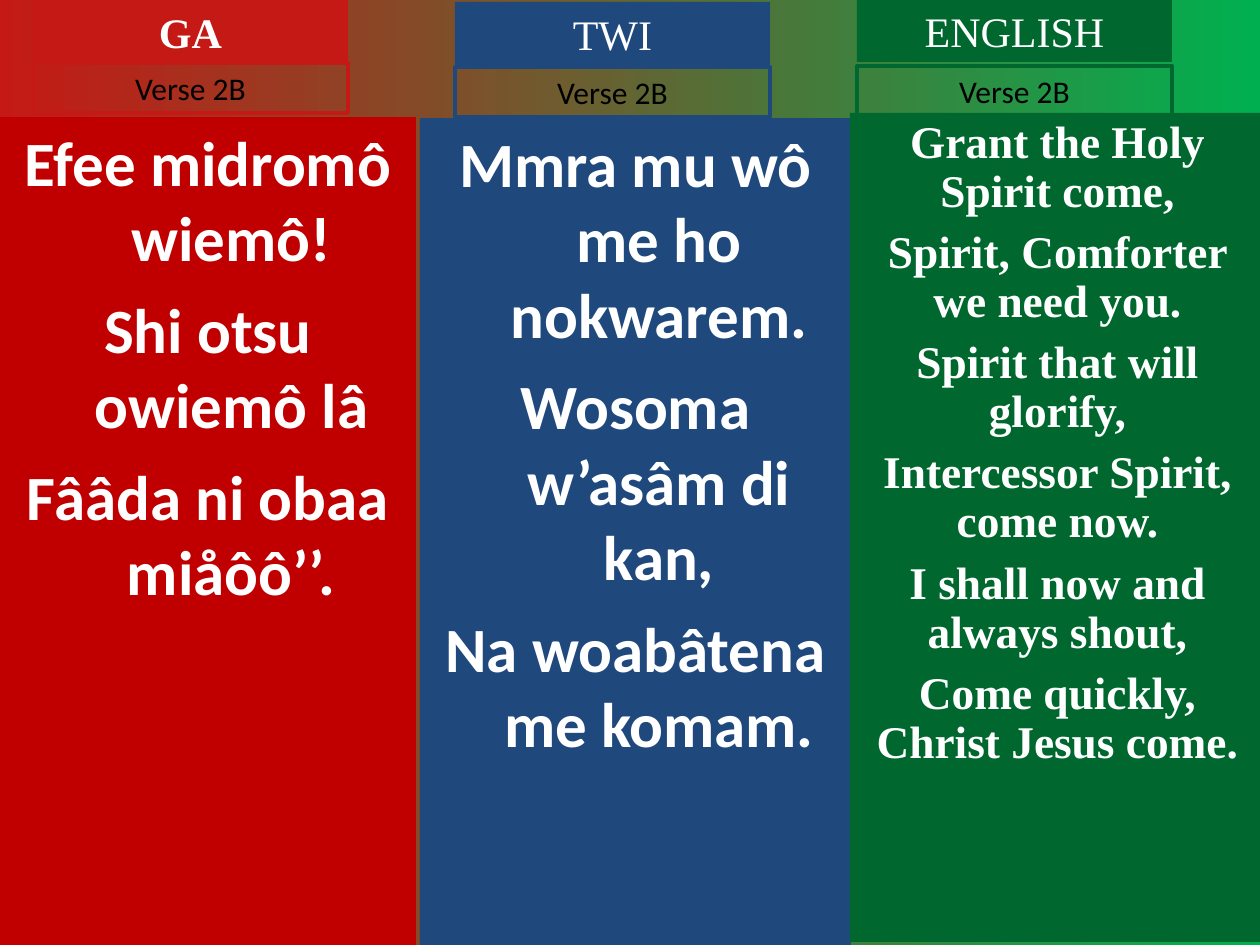
from dataclasses import dataclass

import pptx
import pptx.dml.color
import pptx.enum.shapes
import pptx.enum.text
import pptx.util

EMU_PER_PX = 914400 / 126
SLIDE_SIZE = (1260, 945)
HEADING_SIZE = (315, 63)
VERSE_SIZE = (315, 50)
HANGING_INDENT = 47


@dataclass(frozen=True)
class Theme:
    sans: str = "Calibri"
    serif: str = "Times New Roman"
    white: str = "FFFFFF"
    black: str = "000000"
    red: str = "C00000"
    bright_red: str = "C51915"
    blue: str = "1F497D"
    green: str = "00682F"
    bright_green: str = "00B050"
    heading_size: float = 24
    verse_size: float = 18
    lyric_size: float = 36
    english_size: float = 25.9
    border: float = 2.25


THEME = Theme()


@dataclass(frozen=True)
class TextStyle:
    font: str
    size: float
    color: str = THEME.white
    bold: bool = False
    space_before: float = 0
    line_spacing: float = 1
    hanging: int = 0


@dataclass(frozen=True)
class Column:
    heading: str
    heading_bold: bool
    panel_color: str
    label_color: str
    panel_box: tuple
    heading_origin: tuple
    verse_origin: tuple
    style: TextStyle
    lyrics: tuple


LOCAL_LYRICS = TextStyle(THEME.sans, THEME.lyric_size, bold=True,
                         space_before=9, hanging=HANGING_INDENT)
ENGLISH_LYRICS = TextStyle(THEME.serif, THEME.english_size, bold=True,
                           space_before=7, line_spacing=0.9)
VERSE_STYLE = TextStyle(THEME.sans, THEME.verse_size, THEME.black)

COLUMNS = (
    Column("GA", True, THEME.red, THEME.bright_red,
           (0, 117, 416, 828), (33, 0), (33, 63), LOCAL_LYRICS,
           ("Efee midromô wiemô!", "Shi otsu owiemô lâ",
            "Fââda ni obaa miåôô’’.")),
    Column("TWI", False, THEME.blue, THEME.blue,
           (420, 118, 431, 827), (455, 2), (455, 67), LOCAL_LYRICS,
           ("Mmra mu wô me ho nokwarem.", "Wosoma w’asâm di kan,",
            "Na woabâtena me komam.")),
    Column("ENGLISH", False, THEME.green, THEME.green,
           (850, 113, 415, 829), (857, -1), (857, 66), ENGLISH_LYRICS,
           ("Grant the Holy Spirit come,", "Spirit, Comforter we need you.",
            "Spirit that will glorify,", "Intercessor Spirit, come now.",
            "I shall now and always shout,",
            "Come quickly, Christ Jesus come.")),
)


def px(length):
    return pptx.util.Emu(round(length * EMU_PER_PX))


def rgb(color):
    return pptx.dml.color.RGBColor.from_string(color)


def add_box(slide, box, fill=None, line=None):
    shape = slide.shapes.add_shape(
        pptx.enum.shapes.MSO_SHAPE.RECTANGLE, *(px(length) for length in box))
    shape.shadow.inherit = False
    if fill:
        shape.fill.solid()
        shape.fill.fore_color.rgb = rgb(fill)
    else:
        shape.fill.background()
    if line:
        shape.line.color.rgb = rgb(line)
        shape.line.width = pptx.util.Pt(THEME.border)
    else:
        shape.line.fill.background()
    return shape


def write_text(shape, lines, style):
    frame = shape.text_frame
    frame.word_wrap = True
    frame.vertical_anchor = pptx.enum.text.MSO_ANCHOR.TOP
    for index, line in enumerate(lines):
        paragraph = frame.add_paragraph() if index else frame.paragraphs[0]
        paragraph.alignment = pptx.enum.text.PP_ALIGN.CENTER
        paragraph.line_spacing = style.line_spacing
        paragraph.space_before = pptx.util.Pt(style.space_before if index else 0)
        if style.hanging:
            properties = paragraph._p.get_or_add_pPr()
            properties.set("marL", str(px(style.hanging)))
            properties.set("indent", str(-px(style.hanging)))
        run = paragraph.add_run()
        run.text = line
        run.font.name = style.font
        run.font.size = pptx.util.Pt(style.size)
        run.font.bold = style.bold
        run.font.color.rgb = rgb(style.color)


def add_column(slide, column):
    """Place a lyrics panel with its language heading and verse label."""
    panel = add_box(slide, column.panel_box, fill=column.panel_color)
    write_text(panel, column.lyrics, column.style)

    heading = add_box(slide, column.heading_origin + HEADING_SIZE,
                      fill=column.label_color)
    write_text(heading, [column.heading],
               TextStyle(THEME.serif, THEME.heading_size,
                         bold=column.heading_bold))

    verse = add_box(slide, column.verse_origin + VERSE_SIZE,
                    line=column.label_color)
    write_text(verse, ["Verse 2B"], VERSE_STYLE)


def paint_background(slide):
    fill = slide.background.fill
    fill.gradient()
    fill.gradient_angle = 0
    for stop, color in zip(fill.gradient_stops,
                           (THEME.bright_red, THEME.bright_green)):
        stop.color.rgb = rgb(color)


def main():
    presentation = pptx.Presentation()
    presentation.slide_width, presentation.slide_height = map(px, SLIDE_SIZE)
    slide = presentation.slides.add_slide(presentation.slide_layouts[6])
    paint_background(slide)
    for column in COLUMNS:
        add_column(slide, column)
    presentation.save("out.pptx")


if __name__ == "__main__":
    main()
